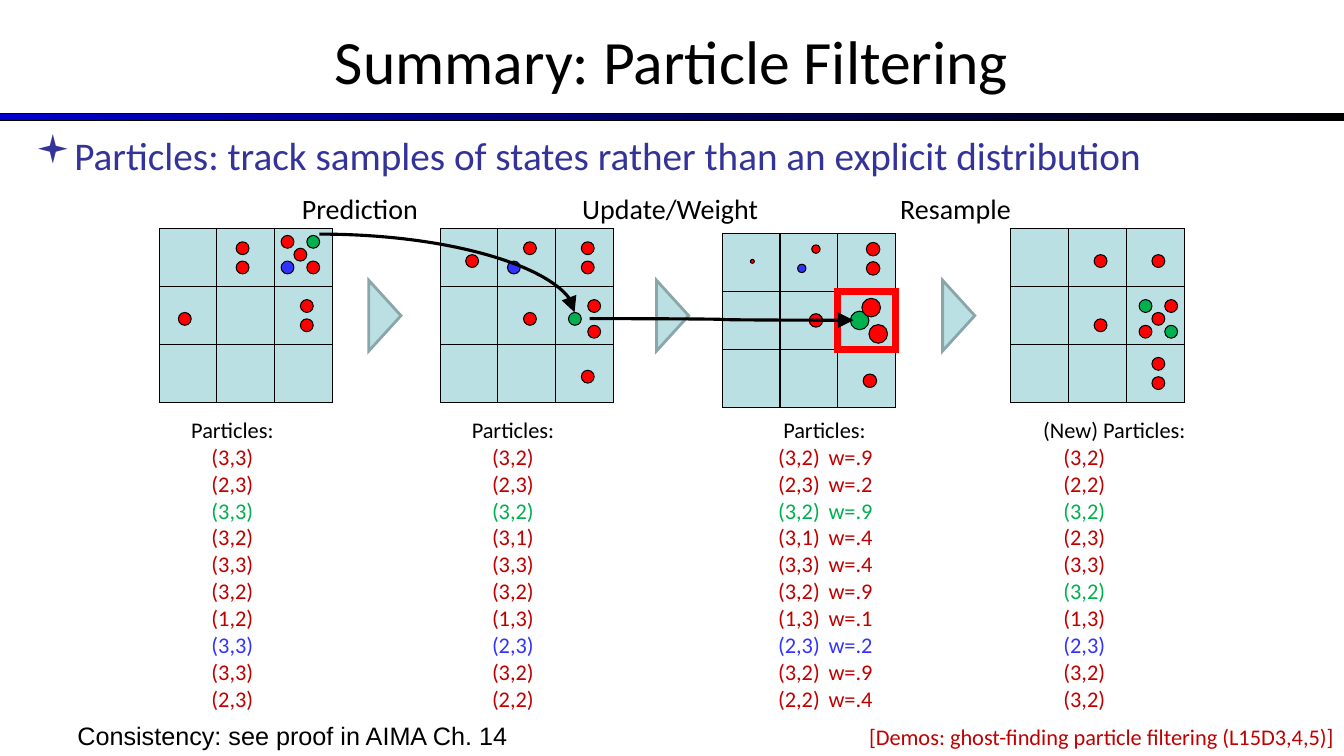
from collections import namedtuple
from dataclasses import dataclass

from lxml.etree import SubElement
from pptx import Presentation
from pptx.dml.color import RGBColor
from pptx.enum.shapes import MSO_CONNECTOR, MSO_SHAPE
from pptx.enum.text import MSO_ANCHOR, PP_ALIGN
from pptx.oxml.ns import qn
from pptx.util import Cm, Pt

Box = namedtuple("Box", "left top width height")
Dot = namedtuple("Dot", "x y color size", defaults=("FF0000", 2))


@dataclass(frozen=True)
class Theme:
    font: str = "Calibri"
    note_font: str = "Arial"
    black: str = "000000"
    bar: str = "0000CC"
    bullet: str = "333399"
    cell: str = "BBE0E3"
    stage_edge: str = "8AA6A8"
    red: str = "FF0000"
    green: str = "00B050"
    blue: str = "3333FF"
    dark_red: str = "C00000"
    title_size: int = 44
    bullet_size: int = 28
    step_size: int = 20
    note_size: int = 18
    list_size: int = 16


THEME = Theme()
GREEN, BLUE = THEME.green, THEME.blue
SIDE = 4.37        # side of a 3 x 3 grid, cm
UNIT = SIDE / 27   # dots are placed in ninths of a cell


def add_figure(page, kind, box, fill, line, width=0.75):
    figure = page.shapes.add_shape(kind, *map(Cm, box))
    figure.shadow.inherit = False
    if fill:
        figure.fill.solid()
        figure.fill.fore_color.rgb = RGBColor.from_string(fill)
    else:
        figure.fill.background()
    figure.line.color.rgb = RGBColor.from_string(line)
    figure.line.width = Pt(width)
    SubElement(figure.line._get_or_add_ln(), qn("a:miter")).set("lim", "800000")
    return figure


def style(para, size, color, font=THEME.font):
    para.font.name = font
    para.font.size = Pt(size)
    para.font.color.rgb = RGBColor.from_string(color)


def add_text(page, box, text, size, color, align=PP_ALIGN.LEFT, font=THEME.font, wrap=True):
    frame = page.shapes.add_textbox(*map(Cm, box)).text_frame
    frame.word_wrap = wrap
    para = frame.paragraphs[0]
    para.text = text
    para.alignment = align
    style(para, size, color, font)
    return frame


def add_header(page, box):
    title = add_text(page, Box(box.left, box.top - 0.08, box.width, 3.18),
                     "Summary: Particle Filtering",
                     THEME.title_size, THEME.black, PP_ALIGN.CENTER)
    title.vertical_anchor = MSO_ANCHOR.MIDDLE
    bar = add_figure(page, MSO_SHAPE.RECTANGLE,
                     Box(box.left, box.top + 2.87, box.width, 0.18), THEME.bar, THEME.black)
    bar.fill.gradient()
    bar.fill.gradient_angle = 0
    for stop, color in zip(bar.fill.gradient_stops, (THEME.bar, THEME.black)):
        stop.color.rgb = RGBColor.from_string(color)


def add_bullet(page, box, text):
    frame = page.shapes.add_textbox(*map(Cm, box)).text_frame
    frame.word_wrap = True
    para = frame.paragraphs[0]
    para.text = text
    properties = para._p.get_or_add_pPr()
    properties.set("marL", str(Cm(0.95)))
    properties.set("indent", str(Cm(-0.95)))
    SubElement(properties, qn("a:buFont")).set("typeface", "Wingdings")
    SubElement(properties, qn("a:buChar")).set("char", "▪")
    style(para, THEME.bullet_size, THEME.bullet)


def add_grid(page, left, top, dots):
    cell = SIDE / 3
    for row in range(3):
        for column in range(3):
            add_figure(page, MSO_SHAPE.RECTANGLE,
                       Box(left + column * cell, top + row * cell, cell, cell),
                       THEME.cell, THEME.black)
    for dot in dots:
        radius = dot.size / 2
        add_figure(page, MSO_SHAPE.OVAL,
                   Box(left + (dot.x - radius) * UNIT, top + (dot.y - radius) * UNIT,
                       dot.size * UNIT, dot.size * UNIT), dot.color, THEME.black)


def add_stage_mark(page, center_x, center_y, length=0.81, breadth=1.78):
    box = Box(center_x - breadth / 2, center_y - length / 2, breadth, length)
    add_figure(page, MSO_SHAPE.ISOSCELES_TRIANGLE, box,
               THEME.cell, THEME.stage_edge, 2).rotation = 90


def add_curve(page, start, end, bend="curvedConnector3"):
    curve = page.shapes.add_connector(MSO_CONNECTOR.CURVE, *map(Cm, start + end))
    curve.line.color.rgb = RGBColor.from_string(THEME.black)
    curve.line.width = Pt(2.25)
    properties = curve._element.spPr
    properties.find(qn("a:prstGeom")).set("prst", bend)
    head = SubElement(properties.find(qn("a:ln")), qn("a:tailEnd"))
    for name, value in (("type", "triangle"), ("w", "lg"), ("len", "lg")):
        head.set(name, value)
    SubElement(properties, qn("a:effectLst"))


def add_particle_list(page, box, heading, particles, greens=(2,), blues=(7,), heading_indent=0):
    frame = add_text(page, box, heading, THEME.list_size, THEME.black)
    frame.paragraphs[0]._p.get_or_add_pPr().set("marL", str(Cm(heading_indent)))
    for index, particle in enumerate(particles):
        para = frame.add_paragraph()
        para.text = particle
        properties = para._p.get_or_add_pPr()
        properties.set("marL", str(Cm(0.51)))
        properties.set("indent", "0")
        if "\t" in particle:
            tab = SubElement(SubElement(properties, qn("a:tabLst")), qn("a:tab"))
            tab.set("pos", str(Cm(1.83)))
            tab.set("algn", "l")
        color = GREEN if index in greens else BLUE if index in blues else THEME.dark_red
        style(para, THEME.list_size, color)


def add_diagram(page, box):
    top = box.top
    lefts = [box.left + offset for offset in (0, 7.08, 14.19, 21.46)]
    prior = [Dot(13, 3), Dot(13, 6), Dot(20, 6, BLUE), Dot(22, 4), Dot(24, 6),
             Dot(24, 2, GREEN), Dot(20, 2), Dot(23, 12), Dot(23, 15), Dot(4, 14)]
    predicted = [Dot(21, 14, GREEN), Dot(24, 12), Dot(24, 16), Dot(23, 3), Dot(14, 14),
                 Dot(23, 23), Dot(5, 5), Dot(23, 6), Dot(11.5, 6, BLUE), Dot(14, 3)]
    weighted = [Dot(21.4, 13.5, GREEN, 2.9), Dot(24.3, 15.6, size=2.9),
                Dot(23.2, 11.5, size=2.9), Dot(23.5, 2.4, size=2.1),
                Dot(14.6, 13.5, size=2.1), Dot(23, 22.9, size=2.1),
                Dot(23.5, 5.4, size=2.1), Dot(12.4, 5.4, BLUE, 1.3),
                Dot(14.6, 2.4, size=1.3), Dot(4.7, 4.3, size=0.6)]
    resampled = [Dot(21, 16), Dot(25, 12), Dot(23, 14), Dot(14, 15), Dot(23, 5),
                 Dot(21, 12, GREEN), Dot(23, 21), Dot(25, 16, GREEN), Dot(23, 24), Dot(14, 5)]

    # Grids, marks between them and the highlighted cell
    for center in (9.7, 16.95, 24.16):
        add_stage_mark(page, center, top + SIDE / 2)
    grid_tops = (top, top, top + 0.12, top)
    for left, grid_top, dots in zip(lefts, grid_tops, (prior, predicted, weighted, resampled)):
        add_grid(page, left, grid_top, dots)
    cell = SIDE / 3
    add_figure(page, MSO_SHAPE.RECTANGLE,
               Box(lefts[2] + 2 * cell, grid_tops[2] + cell, cell, cell), None, THEME.red, 5)

    # Path of the tracked particle
    add_curve(page, (8.05, 5.9), (14.48, 7.87), "curvedConnector2")
    add_curve(page, (14.86, 8.03), (21.51, 8.07))

    # Step names
    for left, width, name in ((5.87, 6.4, "Prediction"), (14.3, 5.18, "Update/Weight"),
                              (21.49, 5.18, "Resample")):
        add_text(page, Box(left, top - 1.07, width, 1.12), name,
                 THEME.step_size, THEME.black, PP_ALIGN.CENTER)


def add_lists(page, box):
    prior = "(3,3) (2,3) (3,3) (3,2) (3,3) (3,2) (1,2) (3,3) (3,3) (2,3)".split()
    predicted = "(3,2) (2,3) (3,2) (3,1) (3,3) (3,2) (1,3) (2,3) (3,2) (2,2)".split()
    weights = ".9 .2 .9 .4 .4 .9 .1 .2 .9 .4".split()
    weighted = [f"{particle}\tw={weight}" for particle, weight in zip(predicted, weights)]
    resampled = "(3,2) (2,2) (3,2) (2,3) (3,3) (3,2) (1,3) (2,3) (3,2) (3,2)".split()

    def column(offset, width=3.81):
        return Box(box.left + offset, box.top, width, box.height)

    add_particle_list(page, column(0), "Particles:", prior)
    add_particle_list(page, column(7.07), "Particles:", predicted)
    add_particle_list(page, column(14.28), "Particles:", weighted, heading_indent=0.64)
    add_particle_list(page, column(21.47, 4.88), "(New) Particles:", resampled, greens=(2, 5))


def add_footer(page, box):
    add_text(page, Box(box.left + 1.7, box.top, 11.46, box.height),
             "Consistency: see proof in AIMA Ch. 14",
             THEME.note_size, THEME.black, font=THEME.note_font, wrap=False)
    add_text(page, Box(box.left + box.width - 13.12, box.top + 0.08, 13.12, 0.94),
             "[Demos: ghost-finding particle filtering (L15D3,4,5)]",
             THEME.list_size, THEME.dark_red, PP_ALIGN.RIGHT)


def main():
    deck = Presentation()
    deck.slide_width, deck.slide_height = Cm(33.87), Cm(19.05)
    page = deck.slides.add_slide(deck.slide_layouts[6])
    add_header(page, Box(0, 0, 33.87, 3.05))
    add_bullet(page, Box(0.64, 3.18, 32.59, 1.5),
               "Particles: track samples of states rather than an explicit distribution")
    add_diagram(page, Box(4.01, 5.77, 25.83, 4.49))
    add_lists(page, Box(4.57, 10.36, 26.35, 7.77))
    add_footer(page, Box(0, 18.03, 33.87, 1.02))
    deck.save("out.pptx")


if __name__ == "__main__":
    main()
